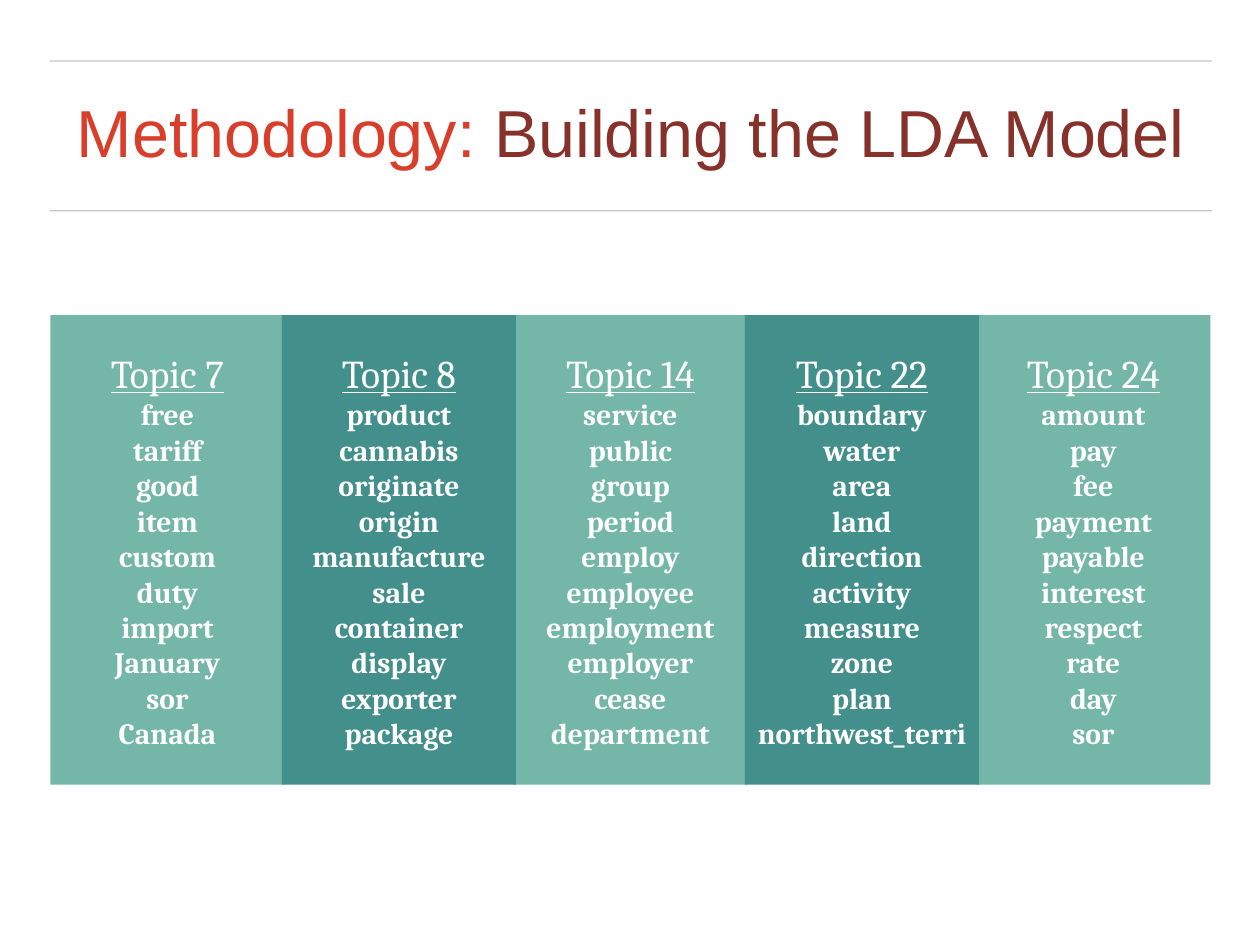
from dataclasses import dataclass

from lxml import etree
from pptx import Presentation
from pptx import util as u
from pptx.dml.color import RGBColor
from pptx.enum import shapes, text
from pptx.oxml.ns import qn


@dataclass(frozen=True)
class Theme:
    accent: str = "D93E2B"
    title: str = "87312B"
    rule: str = "444444"
    rule_alpha: int = 30
    panels: tuple = ("74B6A8", "438F8B")
    panel_text: str = "FFFFFF"
    title_font: str = "Arial"
    panel_font: str = "Cambria"
    title_size: int = 54
    heading_size: int = 32
    word_size: int = 24


THEME = Theme()
SLIDE_SIZE = (14.22, 10.67)

# Regions: left, top, width, height in inches
TITLE_BAND = (0.56, 0.69, 13.12, 1.69)
TOPIC_BAND = (0.57, 3.56, 13.09, 5.3)
PANEL_WIDTH = 2.64

TOPICS = [
    ("Topic 7", "free tariff good item custom duty import January sor Canada"),
    ("Topic 8", "product cannabis originate origin manufacture "
                "sale container display exporter package"),
    ("Topic 14", "service public group period employ "
                 "employee employment employer cease department"),
    ("Topic 22", "boundary water area land direction "
                 "activity measure zone plan northwest_terri"),
    ("Topic 24", "amount pay fee payment payable interest respect rate day sor"),
]


def style_font(font, name, size, color):
    font.name = name
    font.size = u.Pt(size)
    font.color.rgb = RGBColor.from_string(color)


def prepare_frame(shape):
    frame = shape.text_frame
    frame.word_wrap = True
    frame.vertical_anchor = text.MSO_ANCHOR.MIDDLE
    frame.margin_left = frame.margin_right = 0
    frame.margin_top = frame.margin_bottom = 0
    return frame


def add_rule(slide, left, right, y):
    rule = slide.shapes.add_connector(
        shapes.MSO_CONNECTOR.STRAIGHT,
        u.Inches(left), u.Inches(y), u.Inches(right), u.Inches(y))
    rule.line.width = u.Pt(1)
    rule.line.color.rgb = RGBColor.from_string(THEME.rule)
    # Transparency and no shadow
    properties = rule._element.spPr
    color = properties.find(".//" + qn("a:srgbClr"))
    etree.SubElement(color, qn("a:alpha"), val=str(THEME.rule_alpha * 1000))
    etree.SubElement(properties, qn("a:effectLst"))


def add_title(slide, box, parts):
    left, top, width, height = box
    for y in (top, top + height):
        add_rule(slide, left, left + width, y)

    # Title between the two rules
    title = slide.shapes.add_textbox(*map(u.Inches, box))
    paragraph = prepare_frame(title).paragraphs[0]
    paragraph.alignment = text.PP_ALIGN.CENTER
    paragraph.line_spacing = 0.9
    for wording, color in parts:
        run = paragraph.add_run()
        run.text = wording
        style_font(run.font, THEME.title_font, THEME.title_size, color)


def add_panel(slide, box, fill, heading, words):
    panel = slide.shapes.add_shape(
        shapes.MSO_SHAPE.RECTANGLE, *map(u.Inches, box))
    panel.shadow.inherit = False
    panel.fill.solid()
    panel.fill.fore_color.rgb = RGBColor.from_string(fill)
    panel.line.fill.background()

    # Underlined heading, then bold words
    frame = prepare_frame(panel)
    frame.text = "\n".join([heading, *words])
    for index, paragraph in enumerate(frame.paragraphs):
        is_heading = index == 0
        paragraph.alignment = text.PP_ALIGN.CENTER
        font = paragraph.runs[0].font
        size = THEME.heading_size if is_heading else THEME.word_size
        style_font(font, THEME.panel_font, size, THEME.panel_text)
        font.underline = is_heading
        font.bold = not is_heading


def add_topics(slide, box, topics):
    left, top, width, height = box
    step = (width - PANEL_WIDTH) / (len(topics) - 1)
    # Dark panels come last, as they overlap the light ones slightly
    for shade, fill in enumerate(THEME.panels):
        for column in range(shade, len(topics), len(THEME.panels)):
            heading, words = topics[column]
            panel_box = (left + column * step, top, PANEL_WIDTH, height)
            add_panel(slide, panel_box, fill, heading, words.split())


def main():
    presentation = Presentation()
    presentation.slide_width, presentation.slide_height = map(u.Inches, SLIDE_SIZE)
    slide = presentation.slides.add_slide(presentation.slide_layouts[6])
    add_title(slide, TITLE_BAND, [("Methodology: ", THEME.accent),
                                  ("Building the LDA Model", THEME.title)])
    add_topics(slide, TOPIC_BAND, TOPICS)
    presentation.save("out.pptx")


if __name__ == "__main__":
    main()
